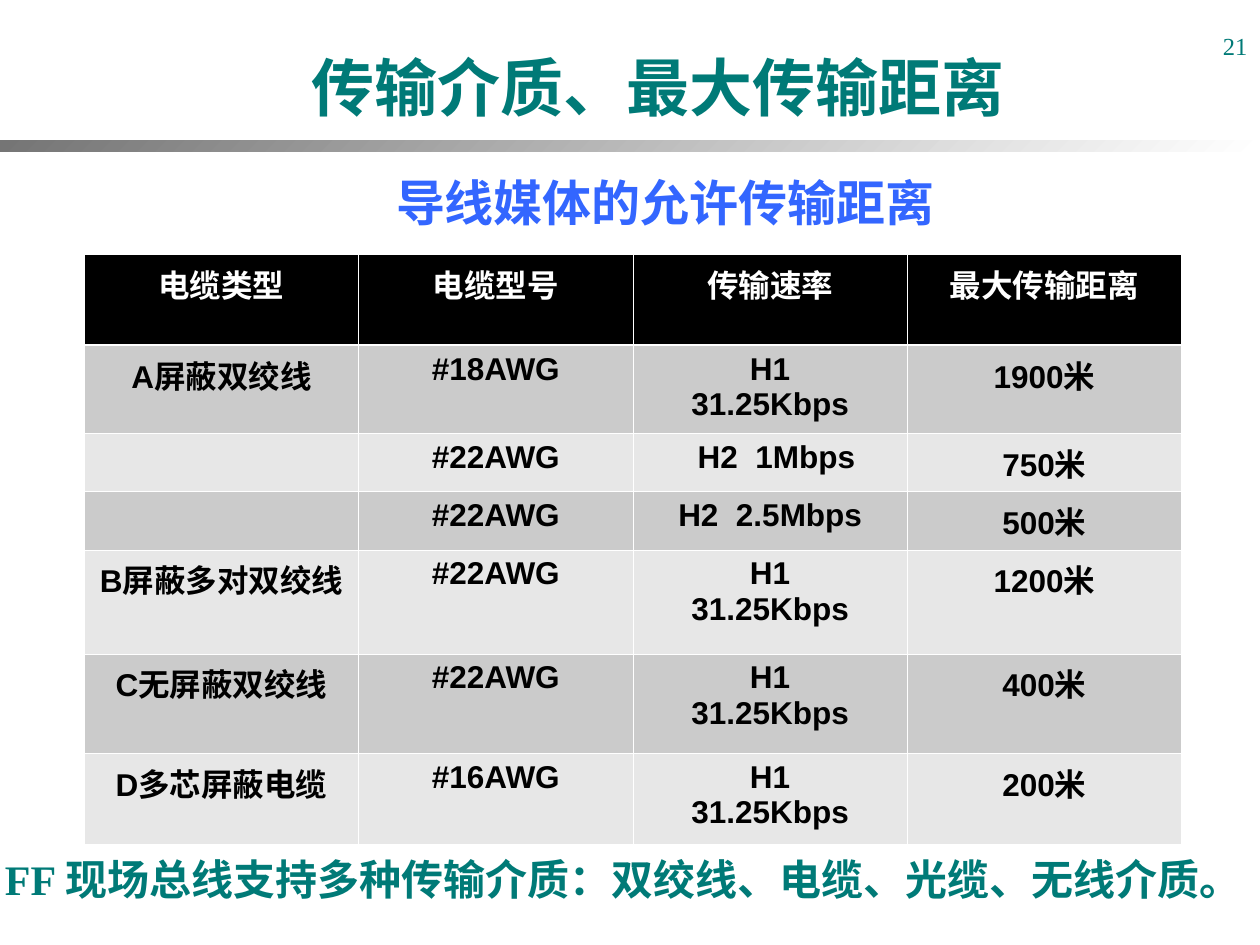
import dataclasses

import lxml.etree
import pptx
import pptx.dml.color
import pptx.enum.shapes
import pptx.enum.text
import pptx.oxml.ns
import pptx.util

Cm = pptx.util.Cm
Pt = pptx.util.Pt
RGB = pptx.dml.color.RGBColor.from_string
Align = pptx.enum.text.PP_ALIGN
Fit = pptx.enum.text.MSO_AUTO_SIZE
qn = pptx.oxml.ns.qn


@dataclasses.dataclass(frozen=True)
class Theme:
    # Colours
    teal: str = "007A77"
    blue: str = "3366FF"
    black: str = "000000"
    white: str = "FFFFFF"
    grey: str = "757575"
    bands: tuple = ("CBCBCB", "E7E7E7")
    # Fonts
    sans: str = "Arial"
    serif: str = "Times New Roman"
    han: str = "Noto Sans CJK SC"
    # Type sizes and line widths in points
    title: int = 36
    sub: int = 28
    foot: int = 24
    cell: int = 18
    page: int = 14
    thin: float = 0.45
    thick: float = 1.47


THEME = Theme()

HEADS = ["电缆类型", "电缆型号", "传输速率", "最大传输距离"]
SLOW = "H1\n31.25Kbps"
ROWS = [
    ["A屏蔽双绞线", "#18AWG", SLOW, "1900米"],
    ["", "#22AWG", "H2  1Mbps", "750米"],
    ["", "#22AWG", "H2  2.5Mbps", "500米"],
    ["B屏蔽多对双绞线", "#22AWG", SLOW, "1200米"],
    ["C无屏蔽双绞线", "#22AWG", SLOW, "400米"],
    ["D多芯屏蔽电缆", "#16AWG", SLOW, "200米"],
]
HEIGHTS = [1.83, 1.78, 1.02, 1.02, 1.96, 2.01, 1.83]


def style(run, size, color, face, bold=True):
    """Format one run, with the Han font for East Asian letters."""
    font = run.font
    font.size, font.bold, font.name = Pt(size), bold, face
    font.color.rgb = RGB(color)
    props = run._r.get_or_add_rPr()
    east = lxml.etree.Element(qn("a:ea"), typeface=THEME.han)
    props.find(qn("a:latin")).addnext(east)


def write(frame, text, size, color, face, align=Align.CENTER, bold=True):
    """Fill a text frame and format all its paragraphs."""
    frame.text = text
    for para in frame.paragraphs:
        para.alignment = align
        for run in para.runs:
            style(run, size, color, face, bold)


def add_box(slide, left, top, width, height, wrap=True, fit=Fit.NONE):
    box = slide.shapes.add_textbox(Cm(left), Cm(top), Cm(width), Cm(height))
    frame = box.text_frame
    frame.word_wrap, frame.auto_size = wrap, fit
    return frame


def set_title(slide, text):
    title = slide.shapes.title
    title.left, title.top = Cm(2.06), Cm(0.69)
    title.width, title.height = Cm(22.4), Cm(2.11)
    frame = title.text_frame
    frame.vertical_anchor = pptx.enum.text.MSO_ANCHOR.MIDDLE
    write(frame, text, THEME.title, THEME.teal, THEME.han)
    frame.auto_size = Fit.NONE


def add_rule(slide):
    """Bar that fades from grey on the left to white on the right."""
    kind = pptx.enum.shapes.MSO_SHAPE.RECTANGLE
    bar = slide.shapes.add_shape(kind, 0, Cm(2.84), Cm(25.4), Cm(0.21))
    bar.shadow.inherit = False
    bar.line.fill.background()
    bar.fill.gradient()
    bar.fill.gradient_angle = 135
    for stop, color in zip(bar.fill.gradient_stops, (THEME.white, THEME.grey)):
        stop.color.rgb = RGB(color)


def edge(cell, **widths):
    """Draw white cell borders; widths are given by side."""
    props = cell._tc.get_or_add_tcPr()
    for spot, (side, width) in enumerate(widths.items()):
        line = lxml.etree.Element(qn(f"a:ln{side}"), w=str(int(Pt(width))))
        fill = lxml.etree.SubElement(line, qn("a:solidFill"))
        lxml.etree.SubElement(fill, qn("a:srgbClr"), val=THEME.white)
        props.insert(spot, line)


def add_grid(slide):
    data = [HEADS] + ROWS
    shape = slide.shapes.add_table(
        len(data), len(HEADS), Cm(1.7), Cm(5.13), Cm(22.12), Cm(sum(HEIGHTS)))
    grid = shape.table
    for col in grid.columns:
        col.width = Cm(5.53)
    for row, height in zip(grid.rows, HEIGHTS):
        row.height = Cm(height)
    for r, texts in enumerate(data):
        fill = THEME.bands[(r - 1) % 2] if r else THEME.black
        ink = THEME.black if r else THEME.white
        for c, text in enumerate(texts):
            cell = grid.cell(r, c)
            cell.fill.solid()
            cell.fill.fore_color.rgb = RGB(fill)
            write(cell.text_frame, text, THEME.cell, ink, THEME.sans)
            edge(cell, L=THEME.thin, R=THEME.thin,
                 T=THEME.thick if r == 1 else THEME.thin,
                 B=THEME.thick if r == 0 else THEME.thin)
    # The 1 Mbps rate is set from the left with an indent
    para = grid.cell(2, 2).text_frame.paragraphs[0]
    para.alignment = Align.LEFT
    para._p.get_or_add_pPr().set("marL", str(int(Cm(1.05))))


def add_foot(slide):
    frame = add_box(slide, -0.15, 17.09, 25.96, 1.27, False,
                    Fit.SHAPE_TO_FIT_TEXT)
    write(frame, "FF ", THEME.foot, THEME.teal, THEME.serif, Align.LEFT)
    run = frame.paragraphs[0].add_run()
    run.text = "现场总线支持多种传输介质：双绞线、电缆、光缆、无线介质。"
    style(run, THEME.foot, THEME.teal, THEME.han)


def main():
    deck = pptx.Presentation()
    deck.slide_width, deck.slide_height = Cm(25.4), Cm(19.05)
    slide = deck.slides.add_slide(deck.slide_layouts[5])

    # Page number and title
    page = add_box(slide, 20.12, 0.51, 5.28, 1.27)
    write(page, "21", THEME.page, THEME.teal, THEME.serif, Align.RIGHT, False)
    set_title(slide, "传输介质、最大传输距离")

    # Cable table and closing line
    add_grid(slide)
    add_foot(slide)

    # Subtitle and rule under the title
    sub = add_box(slide, 5.03, 3.35, 16.76, 1.45, fit=Fit.SHAPE_TO_FIT_TEXT)
    write(sub, "导线媒体的允许传输距离", THEME.sub, THEME.blue, THEME.han)
    add_rule(slide)

    deck.save("out.pptx")


if __name__ == "__main__":
    main()
